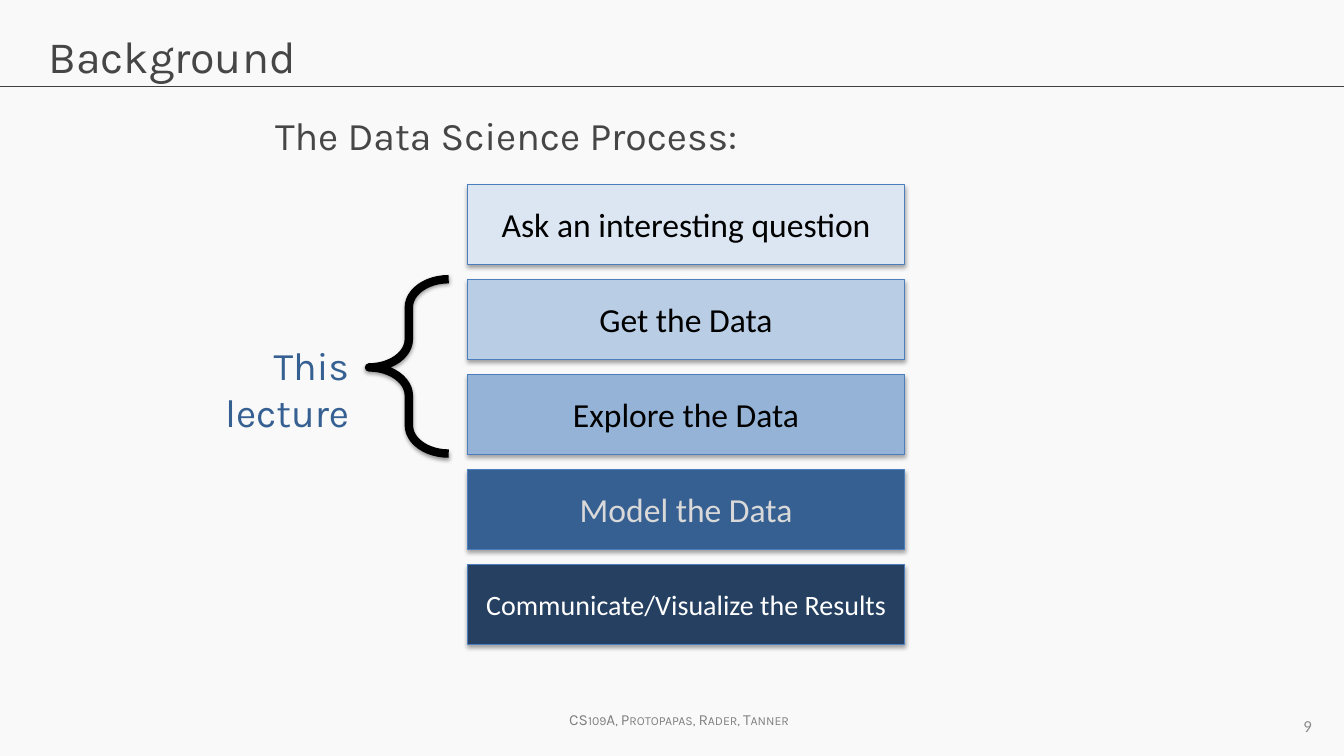
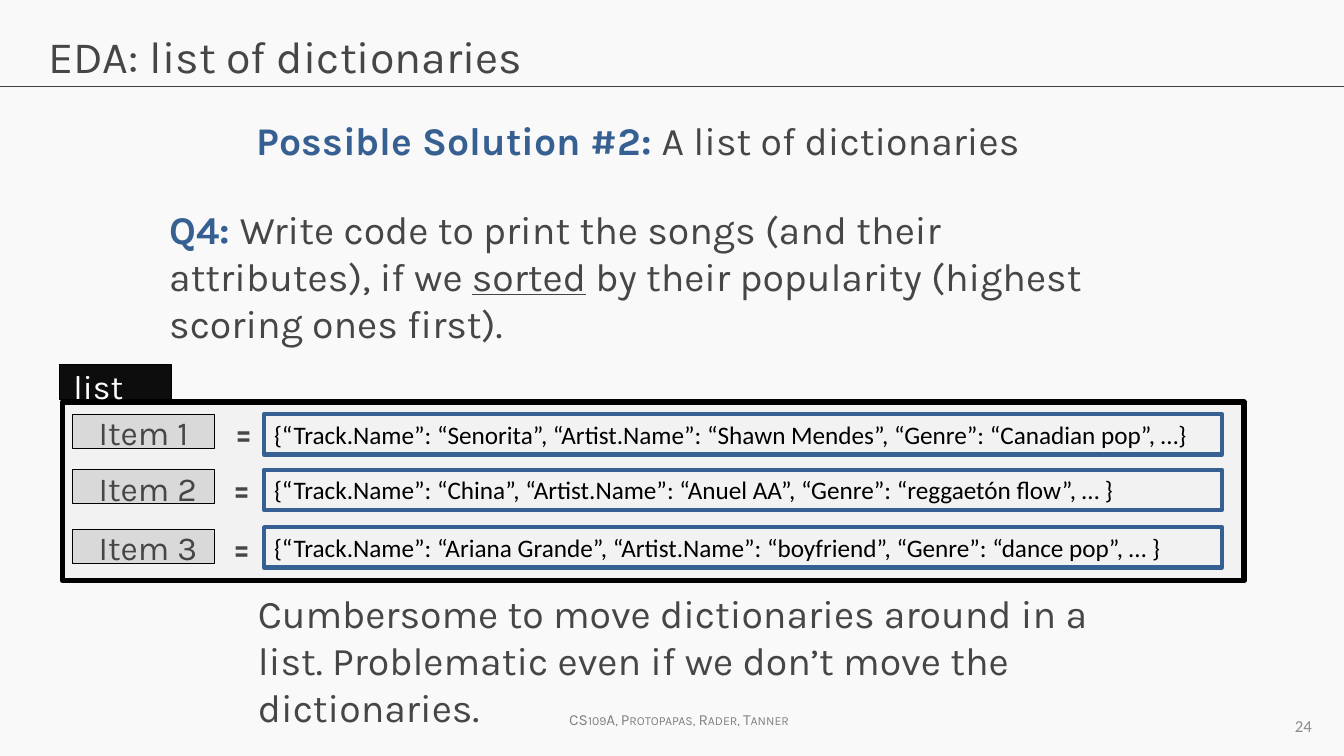
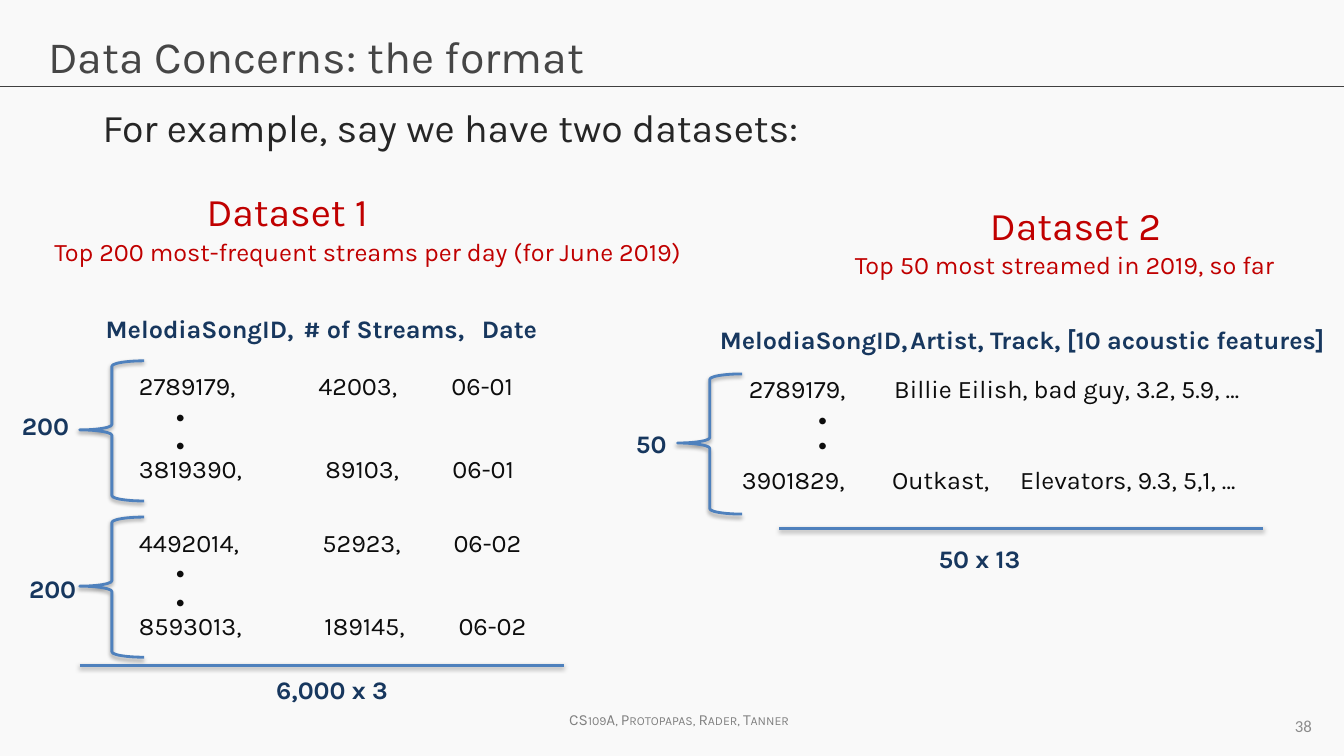
"""Build three lecture slides on the data science process and data formats."""
from dataclasses import dataclass
from typing import NamedTuple, Optional

from lxml.etree import SubElement
from pptx import Presentation
from pptx.dml.color import RGBColor
from pptx.enum.shapes import MSO_CONNECTOR as CONN, MSO_SHAPE as SHAPE
from pptx.enum.text import MSO_ANCHOR as ANCHOR, PP_ALIGN as ALIGN
from pptx.oxml.ns import qn
from pptx.util import Inches, Pt

COLORS = {
    "paper": "F9F9F9", "rule": "404040", "footer": "808080", "number": "8C8C8C",
    "text": "464646", "dark": "262626", "ink": "0D0D0D", "black": "000000",
    "white": "FFFFFF", "pale": "D9D9D9", "panel": "F2F2F2", "blue": "376092",
    "navy": "17375E", "red": "C00000", "accent": "4F81BD", "edge": "4B7EBC",
    "step1": "DCE6F2", "step2": "B9CDE5", "step3": "95B3D7", "step5": "254061",
}
INSET = 0.1


class Style(NamedTuple):
    color: str
    size: float
    name: str = "Karla"
    bold: bool = False
    underline: bool = False
    small_caps: bool = False


STYLES = {
    "title": Style("text", 32),
    "body": Style("text", 28),
    "strong": Style("blue", 28, bold=True),
    "under": Style("text", 28, underline=True),
    "aside": Style("blue", 28),
    "lead": Style("dark", 28),
    "footer": Style("footer", 11, small_caps=True),
    "number": Style("number", 12, "Calibri"),
    "item": Style("text", 24),
    "equals": Style("text", 24, bold=True),
    "tab": Style("white", 24),
    "entry": Style("black", 18, "Calibri"),
    "step": Style("black", 24, "Calibri"),
    "step_pale": Style("pale", 24, "Calibri"),
    "step_small": Style("white", 20, "Calibri"),
    "dataset": Style("red", 28),
    "caption": Style("red", 18),
    "label": Style("navy", 18, bold=True),
    "row": Style("ink", 18),
    "dot": Style("ink", 32, "Calibri", bold=True),
}


class Box(NamedTuple):
    left: float
    top: float
    width: float
    height: float


class Run(NamedTuple):
    text: str
    style: str


class Shadow(NamedTuple):
    alpha: int
    blur: float
    dist: float


BOX_SHADOW = Shadow(35, 3.1, 1.8)
LINE_SHADOW = Shadow(38, 3.1, 1.6)


@dataclass
class Step:
    label: str
    fill: str
    style: str = "step"


@dataclass
class Item:
    top: float
    equals_left: float
    entry_top: float
    entry: str


@dataclass
class Row:
    left: float
    top: float
    width: float
    text: str
    tabs: tuple[float, ...]
    style: str = "row"


@dataclass
class Group:
    brace_left: float
    brace_top: float
    label: str
    label_left: float
    label_top: float
    dot_left: float
    dot_tops: tuple[float, float]


@dataclass
class Total:
    left: float
    top: float
    label_left: float
    label_top: float
    label: str


def rgb(key: str) -> RGBColor:
    return RGBColor.from_string(COLORS[key])


def set_shadow(sp, shadow: Optional[Shadow] = None) -> None:
    effects = SubElement(sp._element.spPr, qn("a:effectLst"))
    if shadow:
        outer = SubElement(effects, qn("a:outerShdw"), {
            "blurRad": str(Pt(shadow.blur)), "dist": str(Pt(shadow.dist)),
            "dir": "5400000", "rotWithShape": "0"})
        color = SubElement(outer, qn("a:srgbClr"), val=COLORS["black"])
        SubElement(color, qn("a:alpha"), val=str(shadow.alpha * 1000))


def write(sp, runs: list[Run], align=ALIGN.LEFT, anchor=ANCHOR.TOP,
          wrap: bool = True, tabs: tuple[float, ...] = ()) -> None:
    tf = sp.text_frame
    tf.word_wrap, tf.vertical_anchor = wrap, anchor
    p = tf.paragraphs[0]
    p.alignment = align
    if tabs:
        stops = SubElement(p._p.get_or_add_pPr(), qn("a:tabLst"))
        for pos in tabs:
            SubElement(stops, qn("a:tab"), pos=str(Inches(pos)), algn="l")
    for run in runs:
        r = p.add_run()
        r.text = run.text
        style = STYLES[run.style]
        values = {"name": style.name, "size": Pt(style.size),
                  "bold": style.bold, "underline": style.underline}
        for key, value in values.items():
            setattr(r.font, key, value)
        r.font.color.rgb = rgb(style.color)
        if style.small_caps:
            r.font._element.set("cap", "small")


def add_text(s, box: Box, runs: list[Run], **layout) -> None:
    write(s.shapes.add_textbox(*map(Inches, box)), runs, **layout)


def add_box(s, box: Box, line: str, width: float, fill: Optional[str] = None,
            shadow: Optional[Shadow] = None, kind=SHAPE.RECTANGLE):
    sp = s.shapes.add_shape(kind, *map(Inches, box))
    if fill:
        sp.fill.solid()
        sp.fill.fore_color.rgb = rgb(fill)
    else:
        sp.fill.background()
    sp.line.color.rgb = rgb(line)
    sp.line.width = Pt(width)
    set_shadow(sp, shadow)
    return sp


def add_brace(s, box: Box, line: str, width: float, adjust: tuple[float, float]) -> None:
    sp = add_box(s, box, line, width, shadow=LINE_SHADOW, kind=SHAPE.LEFT_BRACE)
    for i, value in enumerate(adjust):
        sp.adjustments[i] = value


def add_rule(s, left: float, top: float, length: float, color: str, width: float,
             shadow: Optional[Shadow] = None) -> None:
    line = s.shapes.add_connector(CONN.STRAIGHT, *map(Inches, (left, top, left + length, top)))
    line.line.color.rgb = rgb(color)
    line.line.width = Pt(width)
    set_shadow(line, shadow)


def add_slide(prs, title: str, number: int):
    s = prs.slides.add_slide(prs.slide_layouts[6])
    s.background.fill.solid()
    s.background.fill.fore_color.rgb = rgb("paper")
    add_rule(s, 0, 0.86, 13.33, "rule", 0.75)
    add_text(s, Box(5.54, 7, 2.39, 0.29),
             [Run("CS109A, Protopapas, Rader, Tanner", "footer")],
             align=ALIGN.CENTER, wrap=False)
    add_text(s, Box(0.38, 0.24, 12.57, 0.84), [Run(title, "title")])
    add_text(s, Box(10, 7, 3.11, 0.4), [Run(str(number), "number")],
             align=ALIGN.RIGHT, anchor=ANCHOR.MIDDLE)
    return s


def build_process(prs) -> None:
    s = add_slide(prs, "Background", 9)
    add_text(s, Box(2.63, 1.05, 4.84, 0.68), [Run("The Data Science Process:", "body")])
    steps = [
        Step("Ask an interesting question", "step1"),
        Step("Get the Data", "step2"),
        Step("Explore the Data", "step3"),
        Step("Model the Data", "blue", "step_pale"),
        Step("Communicate/Visualize the Results", "step5", "step_small"),
    ]
    for i, step in enumerate(steps):
        sp = add_box(s, Box(4.64, 1.83 + 0.9425 * i, 4.33, 0.79), "edge", 0.75,
                     step.fill, BOX_SHADOW)
        write(sp, [Run(step.label, step.style)], align=ALIGN.CENTER, anchor=ANCHOR.MIDDLE)
    add_brace(s, Box(3.66, 2.77, 0.79, 1.73), "black", 6, (0.355, 0.506))
    add_text(s, Box(1.44, 3.34, 2.12, 0.59), [Run("This lecture", "aside")],
             align=ALIGN.RIGHT)


def build_dictionaries(prs) -> None:
    s = add_slide(prs, "EDA: list of dictionaries", 24)
    add_text(s, Box(2.45, 1.1, 8.43, 0.72),
             [Run("Possible Solution #2: ", "strong"), Run("A list of dictionaries", "body")])
    add_text(s, Box(1.58, 1.99, 9.81, 1.16), [
        Run("Q4: ", "strong"),
        Run("Write code to print the songs (and their attributes), if we ", "body"),
        Run("sorted", "under"),
        Run(" by their popularity (highest scoring ones first).", "body"),
    ])
    add_box(s, Box(0.62, 3.99, 11.72, 1.77), "black", 4, "panel")
    items = [
        Item(4.11, 2.23, 4.11, "{“Track.Name”: “Senorita”, “Artist.Name”: “Shawn Mendes”, "
             "“Genre”: “Canadian pop”, …}"),
        Item(4.66, 2.21, 4.66, "{“Track.Name”: “China”, “Artist.Name”: “Anuel AA”, "
             "“Genre”: “reggaetón flow”, … }"),
        Item(5.25, 2.21, 5.23, "{“Track.Name”: “Ariana Grande”, “Artist.Name”: “boyfriend”, "
             "“Genre”: “dance pop”, … }"),
    ]
    for i, item in enumerate(items, 1):
        entry = add_box(s, Box(2.62, item.entry_top, 9.5, 0.4), "blue", 3)
        write(entry, [Run(item.entry, "entry")])
        add_box(s, Box(0.72, item.top, 1.41, 0.34), "black", 0.75, "pale")
        text_top = item.top - 0.07
        add_text(s, Box(0.88, text_top, 1.28, 0.38), [Run(f"Item {i}", "item")])
        add_text(s, Box(item.equals_left, text_top, 0.36, 0.41), [Run("=", "equals")])
    add_box(s, Box(0.59, 3.62, 1.11, 0.34), "black", 0.75, "ink")
    add_text(s, Box(0.63, 3.58, 0.95, 0.38), [Run("list", "tab")])
    add_text(s, Box(2.46, 5.8, 8.93, 0.72), [Run(
        "Cumbersome to move dictionaries around in a list. "
        "Problematic even if we don’t move the dictionaries.", "body")])


def build_formats(prs) -> None:
    s = add_slide(prs, "Data Concerns: the format", 38)
    headings = [
        (Box(0.92, 0.98, 10.97, 0.55), "For example, say we have two datasets:", "lead"),
        (Box(1.95, 1.81, 2.01, 0.55), "Dataset 1", "dataset"),
        (Box(9.72, 1.95, 2.01, 0.55), "Dataset 2", "dataset"),
        (Box(0.44, 2.29, 6.53, 0.88),
         "Top 200 most-frequent streams per day (for June 2019)", "caption"),
        (Box(8.38, 2.42, 4.5, 0.88), "Top 50 most streamed in 2019, so far", "caption"),
    ]
    for box, text, style in headings:
        add_text(s, box, [Run(text, style)])
    rows = [
        Row(0.95, 3.06, 6.48, "MelodiaSongID,\t# of Streams,\tDate", (3.01, 4.78), "label"),
        Row(1.28, 3.62, 4.14, "2789179,\t42003,\t06-01", (3.16, 4.48)),
        Row(1.28, 4.45, 4.14, "3819390,\t89103,\t06-01", (3.23, 4.49)),
        Row(1.28, 5.18, 4.14, "4492014,\t52923,\t06-02", (3.2, 4.5)),
        Row(1.28, 6.01, 4.14, "8593013,\t189145,\t06-02", (3.22, 4.55)),
        Row(7.04, 3.17, 6.48, "MelodiaSongID,\tArtist, Track, [10 acoustic features]",
            (9.03,), "label"),
        Row(7.33, 3.65, 5.47, "2789179,\tBillie Eilish, bad guy, 3.2, 5.9, …", (8.87,)),
        Row(7.26, 4.56, 5.47, "3901829,\tOutkast,\tElevators, 9.3, 5,1, …", (8.85, 10.12)),
    ]
    for row in rows:
        tabs = tuple(x - row.left - INSET for x in row.tabs)
        add_text(s, Box(row.left, row.top, row.width, 0.59),
                 [Run(row.text, row.style)], tabs=tabs)
    groups = [
        Group(0.79, 3.58, "200", 0.12, 4.02, 1.63, (3.69, 3.97)),
        Group(0.79, 5.13, "200", 0.19, 5.64, 1.63, (5.24, 5.52)),
        Group(6.72, 3.71, "50", 6.21, 4.2, 8, (3.72, 3.97)),
    ]
    for group in groups:
        add_brace(s, Box(group.brace_left, group.brace_top, 0.64, 1.39), "accent", 2,
                  (0.083, 0.493))
        add_text(s, Box(group.label_left, group.label_top, 0.8, 0.59),
                 [Run(group.label, "label")])
        for top in group.dot_tops:
            add_text(s, Box(group.dot_left, top, 0.32, 0.64), [Run(".", "dot")], wrap=False)
    totals = [
        Total(0.79, 6.6, 2.64, 6.64, "6,000 x 3"),
        Total(7.73, 5.24, 9.21, 5.34, "50 x 13"),
    ]
    for total in totals:
        add_rule(s, total.left, total.top, 4.8, "accent", 2, LINE_SHADOW)
        add_text(s, Box(total.label_left, total.label_top, 1.89, 0.59),
                 [Run(total.label, "label")])


def main() -> None:
    prs = Presentation()
    prs.slide_width, prs.slide_height = Inches(13.33), Inches(7.5)
    for build in (build_process, build_dictionaries, build_formats):
        build(prs)
    prs.save("out.pptx")


if __name__ == "__main__":
    main()
